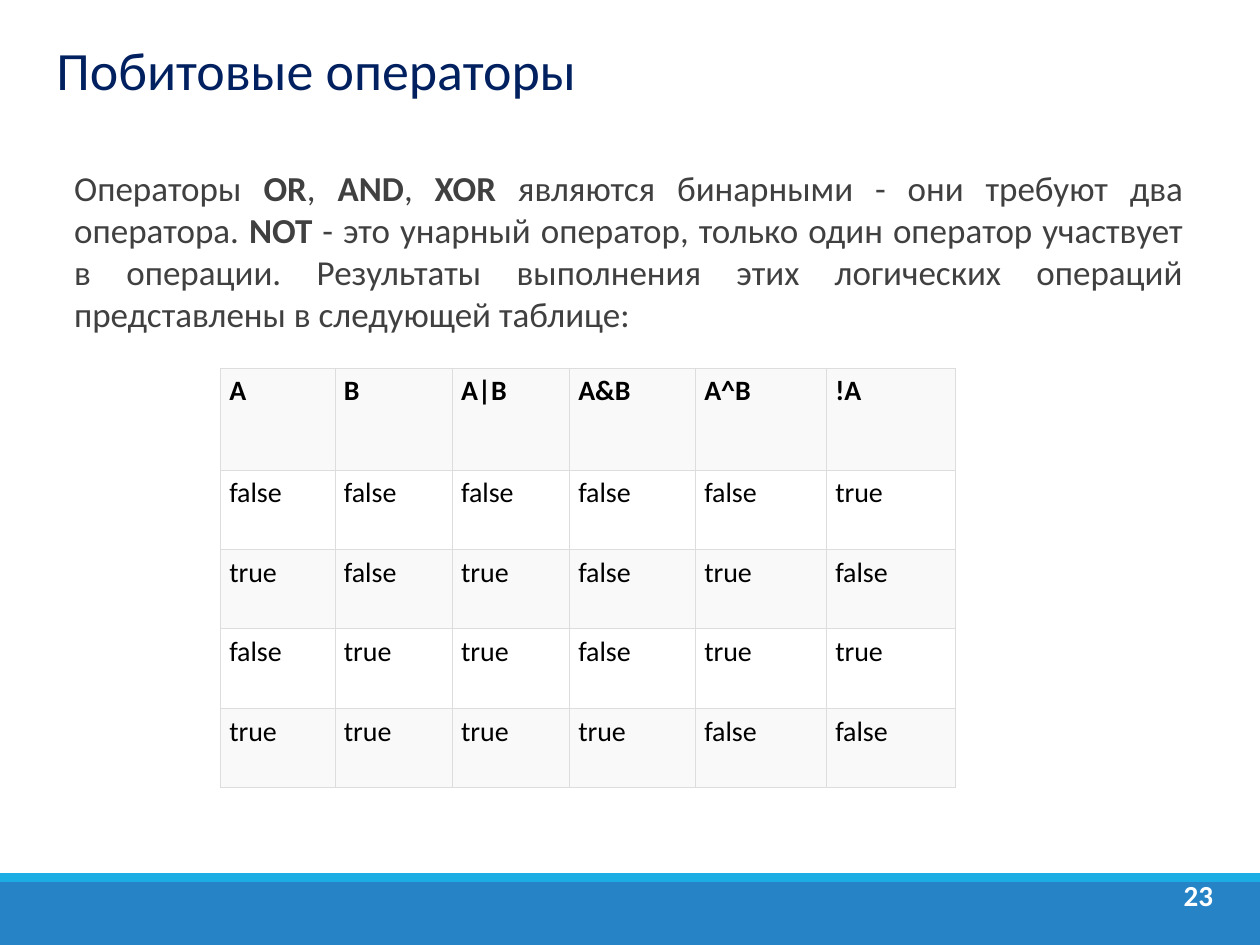
"""Build the slide on bitwise operators with its truth table."""
from dataclasses import dataclass

from lxml.etree import SubElement
from pptx import Presentation
from pptx.dml.color import RGBColor
from pptx.enum.shapes import MSO_SHAPE as Shape
from pptx.enum.text import MSO_ANCHOR as Anchor, PP_ALIGN as Align
from pptx.oxml.ns import qn
from pptx.util import Inches, Pt


@dataclass(frozen=True)
class Theme:
    font: str = "Calibri"
    title: str = "002060"
    body: str = "404040"
    cell: str = "000000"
    white: str = "FFFFFF"
    stripe: str = "F9F9F9"
    border: str = "DDDDDD"
    footer: str = "2683C6"
    accent: str = "1CADE4"
    title_size: float = 30.8
    body_size: float = 20
    number_size: float = 16.6
    cell_size: float = 16
    border_width: float = 0.34


THEME = Theme()
TITLE = [("Побитовые операторы", False)]
PAGE_NUMBER = [("23", True)]
BODY = [
    ("Операторы ", False), ("OR", True), (", ", False), ("AND", True),
    (", ", False), ("XOR", True),
    (" являются бинарными - они требуют два оператора. ", False),
    ("NOT", True),
    (" - это унарный оператор, только один оператор участвует в операции. "
     "Результаты выполнения этих логических операций представлены "
     "в следующей таблице:", False),
]
TRUTH_TABLE = [
    ("A", "B", "A|B", "A&B", "A^B", "!A"),
    ("false", "false", "false", "false", "false", "true"),
    ("true", "false", "true", "false", "true", "false"),
    ("false", "true", "true", "false", "true", "true"),
    ("true", "true", "true", "true", "false", "false"),
]
COLUMN_WIDTHS = [0.91, 0.93, 0.93, 1, 1.04, 1.02]
ROW_HEIGHTS = [0.81] + [0.63] * 4
BANDS = [(7, 0.5, THEME.footer), (6.93, 0.07, THEME.accent)]


def color(value):
    return RGBColor.from_string(value)


def add_runs(paragraph, runs, size, text_color):
    for text, bold in runs:
        run = paragraph.add_run()
        run.text = text
        run.font.name = THEME.font
        run.font.size = Pt(size)
        run.font.bold = bold
        run.font.color.rgb = color(text_color)


def add_text(slide, box, runs, size, text_color, align=Align.LEFT,
             anchor=Anchor.TOP, spacing=1.0):
    frame = slide.shapes.add_textbox(*map(Inches, box)).text_frame
    frame.word_wrap = True
    frame.vertical_anchor = anchor
    paragraph = frame.paragraphs[0]
    paragraph.alignment = align
    paragraph.line_spacing = spacing
    add_runs(paragraph, runs, size, text_color)


def add_band(slide, top, height, fill):
    band = slide.shapes.add_shape(
        Shape.RECTANGLE, 0, Inches(top), Inches(10), Inches(height))
    band.shadow.inherit = False
    band.fill.solid()
    band.fill.fore_color.rgb = color(fill)
    band.line.fill.background()


def set_borders(cell):
    properties = cell._tc.get_or_add_tcPr()
    for side in ("a:lnL", "a:lnR", "a:lnT", "a:lnB"):
        line = SubElement(properties, qn(side), w=str(Pt(THEME.border_width)))
        fill = SubElement(line, qn("a:solidFill"))
        SubElement(fill, qn("a:srgbClr"), val=THEME.border)


def add_truth_table(slide, left, top):
    table = slide.shapes.add_table(
        len(TRUTH_TABLE), len(COLUMN_WIDTHS), Inches(left), Inches(top),
        Inches(sum(COLUMN_WIDTHS)), Inches(sum(ROW_HEIGHTS))).table
    table.first_row = table.horz_banding = False
    for column, width in zip(table.columns, COLUMN_WIDTHS):
        column.width = Inches(width)
    for index, (row, height, values) in enumerate(
            zip(table.rows, ROW_HEIGHTS, TRUTH_TABLE)):
        row.height = Inches(height)
        for cell, value in zip(row.cells, values):
            cell.margin_left = cell.margin_right = Inches(0.07)
            cell.margin_top = cell.margin_bottom = Inches(0.05)
            set_borders(cell)
            cell.fill.solid()
            cell.fill.fore_color.rgb = color(
                THEME.white if index % 2 else THEME.stripe)
            add_runs(cell.text_frame.paragraphs[0], [(value, index == 0)],
                     THEME.cell_size, THEME.cell)


def main():
    presentation = Presentation()
    presentation.slide_width = Inches(10)
    presentation.slide_height = Inches(7.5)
    slide = presentation.slides.add_slide(presentation.slide_layouts[6])
    for band in BANDS:
        add_band(slide, *band)
    add_text(slide, (0.35, 0.28, 9, 0.63), TITLE, THEME.title_size,
             THEME.title, anchor=Anchor.MIDDLE, spacing=0.8)
    add_text(slide, (9.27, 6.95, 0.48, 0.4), PAGE_NUMBER, THEME.number_size,
             THEME.white, align=Align.CENTER, spacing=0.9)
    add_text(slide, (0.49, 1.27, 9, 5.39), BODY, THEME.body_size,
             THEME.body, align=Align.JUSTIFY)
    add_truth_table(slide, 1.75, 2.92)
    presentation.save("out.pptx")


if __name__ == "__main__":
    main()
